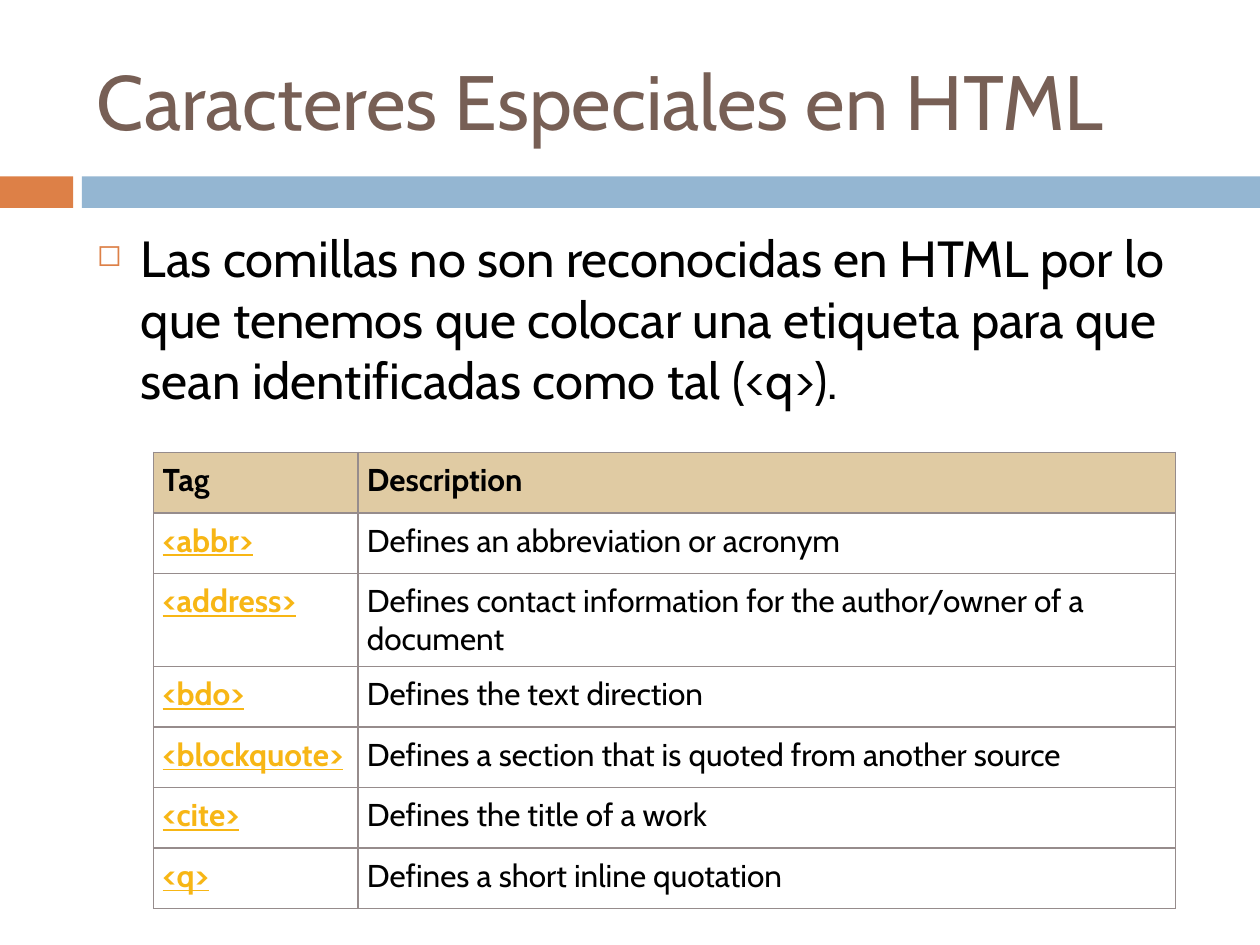
from lxml import etree
from pptx import Presentation, util as u
from pptx.dml.color import RGBColor
from pptx.enum import shapes, text
from pptx.oxml import ns

WIDE, HIGH = 10, 7.5
ROWS = [
    ("Tag", "Description"),
    ("<abbr>", "Defines an abbreviation or acronym"),
    ("<address>", "Defines contact information for the author/owner of a document"),
    ("<bdo>", "Defines the text direction"),
    ("<blockquote>", "Defines a section that is quoted from another source"),
    ("<cite>", "Defines the title of a work"),
    ("<q>", "Defines a short inline quotation"),
]


def color(code):
    """Turn a hex string into a colour."""
    return RGBColor.from_string(code)


def inches(box):
    """Turn a box of numbers into lengths."""
    return [u.Inches(n) for n in box]


def node(root, tag, **attrs):
    """Append a drawing element and return it."""
    return etree.SubElement(root, ns.qn("a:" + tag), attrs)


def write(frame, words, size=18, ink="000000", bold=False, line=False):
    """Put formatted words in a text frame and return the paragraph."""
    frame.word_wrap = True
    para = frame.paragraphs[0]
    run = para.add_run()
    run.text = words
    font = run.font
    font.name, font.size = "Cabin", u.Pt(size)
    font.bold, font.underline = bold, line
    font.color.rgb = color(ink)
    return para


def bands(slide, box, split=0.58, gap=0.07):
    """Draw the short and the long band across the box."""
    left, top, width, height = box
    start = split + gap
    for x, w, fill in ((left, split, "DD8047"),
                       (left + start, width - start, "94B6D2")):
        band = slide.shapes.add_shape(
            shapes.MSO_SHAPE.RECTANGLE, *inches((x, top, w, height)))
        band.shadow.inherit = False
        band.fill.solid()
        band.fill.fore_color.rgb = color(fill)
        band.line.fill.background()


def title(slide, box, words):
    """Place the heading in the middle of the box."""
    frame = slide.shapes.add_textbox(*inches(box)).text_frame
    frame.vertical_anchor = text.MSO_ANCHOR.MIDDLE
    write(frame, words, size=44, ink="775F55")


def body(slide, box, words):
    """Place a bulleted paragraph in the box."""
    frame = slide.shapes.add_textbox(*inches(box)).text_frame
    para = write(frame, words, size=29)
    para.space_before = u.Pt(7)
    props = para._p.get_or_add_pPr()
    dent = u.Inches(0.35)
    props.set("marL", str(dent))
    props.set("indent", str(-dent))
    node(node(props, "buClr"), "srgbClr", val="DD8047")
    node(props, "buSzPct", val="60000")
    node(props, "buChar", char="◻")


def edge(cell, ink="968C8C"):
    """Draw a thin line on all sides of a cell."""
    props = cell._tc.get_or_add_tcPr()
    for side in "LRTB":
        line = node(props, "ln" + side, w=str(u.Pt(1)))
        node(node(line, "solidFill"), "srgbClr", val=ink)


def grid(slide, box, rows, share=0.2):
    """Fill the box with a table of tags and their meaning."""
    table = slide.shapes.add_table(len(rows), 2, *inches(box)).table
    for col, part in zip(table.columns, (share, 1 - share)):
        col.width = u.Inches(box[2] * part)
    for r, row in enumerate(rows):
        for c, words in enumerate(row):
            cell, head, tag = table.cell(r, c), r == 0, r > 0 and c == 0
            cell.margin_left = cell.margin_right = u.Inches(0.07)
            cell.margin_top = cell.margin_bottom = u.Inches(0.07)
            edge(cell)
            if head:
                cell.fill.solid()
                cell.fill.fore_color.rgb = color("E0CBA3")
            else:
                cell.fill.background()
            write(cell.text_frame, words, bold=head or tag, line=tag,
                  ink="F7B615" if tag else "000000")


def main():
    """Build the slide and save it."""
    deck = Presentation()
    deck.slide_width, deck.slide_height = inches((WIDE, HIGH))
    slide = deck.slides.add_slide(deck.slide_layouts[6])
    left, width = 0.67, 8.92
    bands(slide, (0, 1.4, WIDE, 0.25))
    title(slide, (left, 0.25, width, 1.08), "Caracteres Especiales en HTML")
    body(slide, (left, 1.75, width, 4.92),
         "Las comillas no son reconocidas en HTML por lo que tenemos que "
         "colocar una etiqueta para que sean identificadas como tal (<q>).")
    grid(slide, (1.22, 3.59, 8.11, 0.48 * len(ROWS)), ROWS)
    deck.save("out.pptx")


if __name__ == "__main__":
    main()
